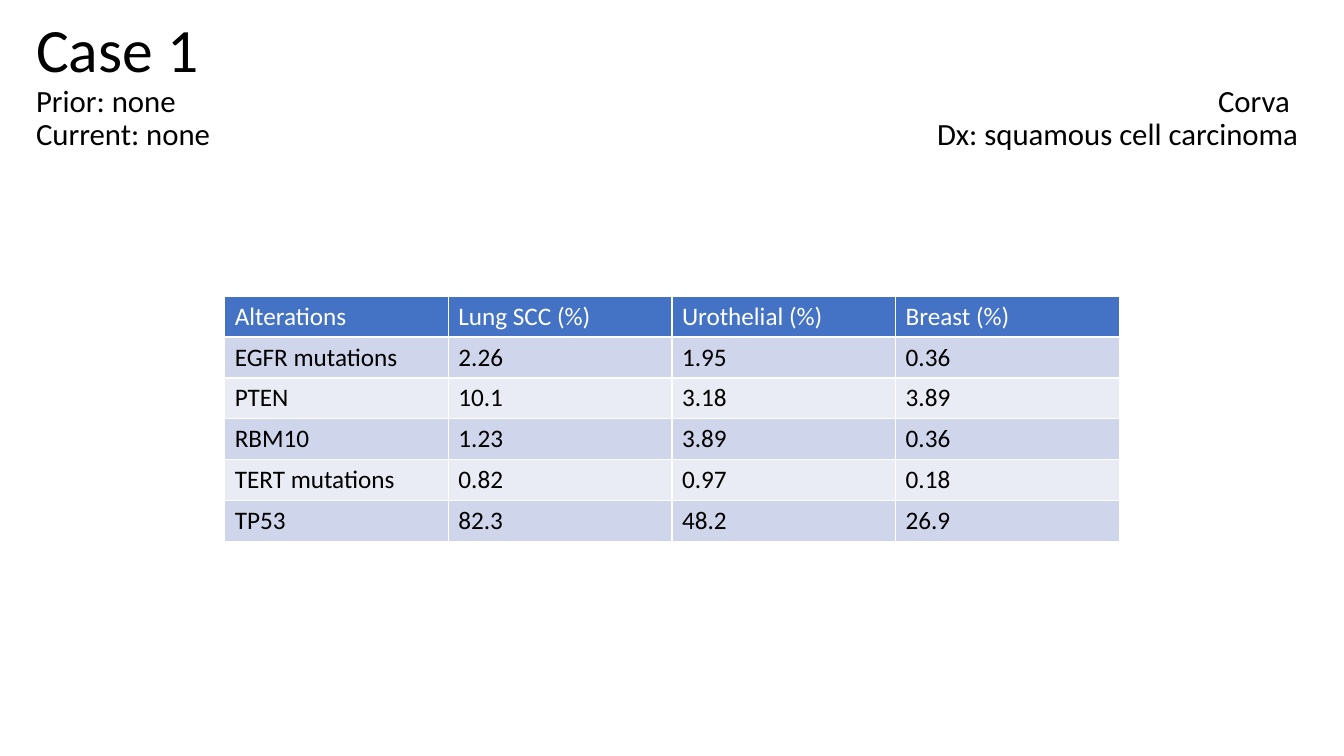
from pptx import Presentation
from pptx.dml.color import RGBColor
from pptx.enum.text import MSO_ANCHOR as Anchor
from pptx.oxml.ns import qn
from pptx.util import Emu, Pt
from lxml.etree import SubElement

EMU_PER_PX = 9525
FONT = "Calibri"
BLACK, WHITE, BLUE = "000000", "FFFFFF", "4472C4"
BANDS = ["CFD5EA", "E9EBF5"]

HEADING = [
    ("Case 1", 44, None),
    ("Prior: none\tCorva", 22, 1194),
    ("Current: none\tDx: squamous cell carcinoma", 22, 1202),
]
ALTERATIONS = [
    ["Alterations", "Lung SCC (%)", "Urothelial (%)", "Breast (%)"],
    ["EGFR mutations", "2.26", "1.95", "0.36"],
    ["PTEN", "10.1", "3.18", "3.89"],
    ["RBM10", "1.23", "3.89", "0.36"],
    ["TERT mutations", "0.82", "0.97", "0.18"],
    ["TP53", "82.3", "48.2", "26.9"],
]


def px(n):
    return Emu(n * EMU_PER_PX)


def rgb(color):
    return RGBColor.from_string(color)


class Deck:
    def __init__(self, width, height):
        self.prs = Presentation()
        self.prs.slide_width, self.prs.slide_height = px(width), px(height)
        self.s = self.prs.slides.add_slide(self.prs.slide_layouts[6])

    def style(self, p, size, color):
        p.font.name, p.font.size = FONT, Pt(size)
        p.font.color.rgb = rgb(color)

    def right_tab(self, p, pos):
        tabs = SubElement(p._p.get_or_add_pPr(), qn("a:tabLst"))
        SubElement(tabs, qn("a:tab"), pos=str(px(pos)), algn="r")

    def heading(self, x, y, w, h, lines):
        tf = self.s.shapes.add_textbox(px(x), px(y), px(w), px(h)).text_frame
        tf.word_wrap = True
        tf.vertical_anchor = Anchor.MIDDLE
        for i, (text, size, tab) in enumerate(lines):
            p = tf.add_paragraph() if i else tf.paragraphs[0]
            p.text = text
            p.line_spacing = 0.9
            if tab:
                self.right_tab(p, tab)
            self.style(p, size, BLACK)

    def borders(self, cell, color):
        tcPr = cell._tc.get_or_add_tcPr()
        for side in "LRTB":
            ln = SubElement(tcPr, qn(f"a:ln{side}"), w=str(Pt(1)))
            fill = SubElement(ln, qn("a:solidFill"))
            SubElement(fill, qn("a:srgbClr"), val=color)

    def table(self, x, y, col_w, row_h, rows):
        n, m = len(rows), len(rows[0])
        frame = self.s.shapes.add_table(n, m, px(x), px(y), px(col_w * m), px(row_h * n))
        for row in frame.table.rows:
            row.height = px(row_h)
        for i, values in enumerate(rows):
            for j, value in enumerate(values):
                cell = frame.table.cell(i, j)
                cell.text = value
                self.borders(cell, WHITE)
                cell.fill.solid()
                cell.fill.fore_color.rgb = rgb(BANDS[(i - 1) % 2] if i else BLUE)
                self.style(cell.text_frame.paragraphs[0], 18, BLACK if i else WHITE)


def main():
    deck = Deck(1280, 720)
    deck.table(214, 282, 213, 39, ALTERATIONS)
    deck.heading(25, 12, 1227, 139, HEADING)
    deck.prs.save("out.pptx")


if __name__ == "__main__":
    main()
